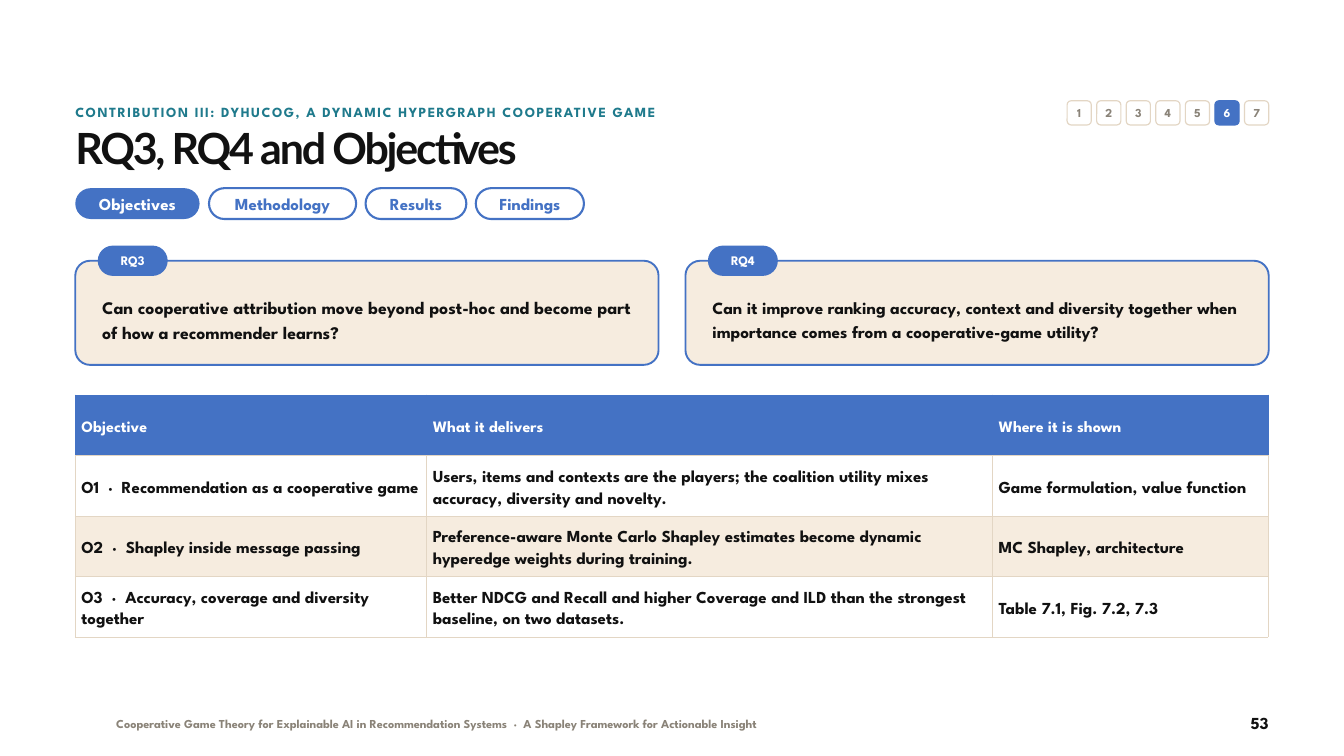
from lxml.etree import SubElement
from pptx import Presentation
from pptx.dml.color import RGBColor
from pptx.enum.shapes import MSO_SHAPE
from pptx.enum.text import MSO_ANCHOR, PP_ALIGN
from pptx.oxml.ns import qn
from pptx.util import Emu, Pt

PX = 9144
BLUE = RGBColor(0x44, 0x72, 0xC4)
TEAL = RGBColor(0x1F, 0x7A, 0x8C)
CREAM = RGBColor(0xF6, 0xEC, 0xDF)
SAND = RGBColor(0xE3, 0xD6, 0xC4)
GREY = RGBColor(0x8A, 0x83, 0x78)
INK = RGBColor(0x11, 0x11, 0x11)
WHITE = RGBColor(0xFF, 0xFF, 0xFF)

LEFT, WIDTH = 112, 1775
ROW_HEIGHT = 90
COLUMN_WIDTHS = (523, 842, 410)
TABS = (("Objectives", 185), ("Methodology", 219), ("Results", 150), ("Findings", 161))
QUESTIONS = (
    ("RQ3", "Can cooperative attribution move beyond post-hoc and become part of how a recommender learns?", 19, 26.6),
    ("RQ4", "Can it improve ranking accuracy, context and diversity together when importance comes from a cooperative-game utility?", 18.4, 25.8),
)
OBJECTIVES = (
    ("Objective", "What it delivers", "Where it is shown"),
    ("O1  ·  Recommendation as a cooperative game",
     "Users, items and contexts are the players; the coalition utility mixes accuracy, diversity and novelty.",
     "Game formulation, value function"),
    ("O2  ·  Shapley inside message passing",
     "Preference-aware Monte Carlo Shapley estimates become dynamic hyperedge weights during training.",
     "MC Shapley, architecture"),
    ("O3  ·  Accuracy, coverage and diversity together",
     "Better NDCG and Recall and higher Coverage and ILD than the strongest baseline, on two datasets.",
     "Table 7.1, Fig. 7.2, 7.3"),
)


def px(*lengths):
    return [Emu(length * PX) for length in lengths]


def write_text(frame, text, size, leading, color=INK, font="League Spartan",
               align=PP_ALIGN.LEFT, anchor=MSO_ANCHOR.TOP, margins=(0, 0), spacing=None):
    frame.word_wrap = True
    frame.vertical_anchor = anchor
    frame.margin_left, frame.margin_top = px(*margins)
    frame.margin_right, frame.margin_bottom = px(*margins)
    paragraph = frame.paragraphs[0]
    paragraph.alignment = align
    paragraph.line_spacing = Pt(leading)
    run = paragraph.add_run()
    run.text = text
    run.font.name = font
    run.font.size = Pt(size)
    run.font.bold = True
    run.font.color.rgb = color
    if spacing is not None:
        run.font._element.set("spc", str(round(spacing * 100)))


def add_text(slide, box, text, size, leading, **text_format):
    text_box = slide.shapes.add_textbox(*px(*box))
    write_text(text_box.text_frame, text, size, leading, **text_format)


def add_rounded(slide, box, radius, fill=None, line=None, line_width=2.25):
    shape = slide.shapes.add_shape(MSO_SHAPE.ROUNDED_RECTANGLE, *px(*box))
    shape.adjustments[0] = radius
    shape.shadow.inherit = False
    if fill is None:
        shape.fill.background()
    else:
        shape.fill.solid()
        shape.fill.fore_color.rgb = fill
    if line is None:
        shape.line.fill.background()
    else:
        shape.line.color.rgb = line
        shape.line.width = Pt(line_width)
    return shape


def add_label(shape, text, size, leading, color, margins=(5, 0)):
    write_text(shape.text_frame, text, size, leading, color=color, margins=margins,
               align=PP_ALIGN.CENTER, anchor=MSO_ANCHOR.MIDDLE)


def add_heading(slide, left, top, width):
    add_text(slide, (left, top, 1415, 36),
             "CONTRIBUTION III: DYHUCOG, A DYNAMIC HYPERGRAPH COOPERATIVE GAME",
             15, 20, color=TEAL, spacing=1.6)
    add_text(slide, (left, top + 36, width, 80), "RQ3, RQ4 and Objectives",
             46, 50.6, font="Lato", spacing=-2.3)


def add_section_tracker(slide, left, top, size, gap, count, current):
    for number in range(1, count + 1):
        active = number == current
        box = (left + (number - 1) * (size + gap), top, size, size)
        square = add_rounded(slide, box, 0.167, BLUE if active else WHITE,
                             BLUE if active else SAND, 1.25)
        add_label(square, str(number), 13, 15, WHITE if active else GREY, margins=(0, 0))


def add_tabs(slide, left, top, height, gap, current):
    for name, width in TABS:
        active = name == current
        tab = add_rounded(slide, (left, top, width, height), 0.5,
                          BLUE if active else None, None if active else BLUE)
        add_label(tab, name, 18, 21.6, WHITE if active else BLUE)
        left += width + gap


def add_question_card(slide, box, name, question, size, leading):
    left, top, width, height = box
    add_rounded(slide, box, 0.142, CREAM, BLUE, 2)
    badge = add_rounded(slide, (left + 35, top - 21, 101, 42), 0.5, BLUE, BLUE)
    add_label(badge, name, 14, 16.8, WHITE)
    add_text(slide, (left + 40, top + 30, width - 80, height - 45), question,
             size, leading, anchor=MSO_ANCHOR.MIDDLE)


def set_cell_borders(cell, color):
    properties = cell._tc.get_or_add_tcPr()
    for position, side in enumerate(("lnL", "lnR", "lnT", "lnB")):
        border = SubElement(properties, qn(f"a:{side}"), w=str(Pt(1)))
        fill = SubElement(border, qn("a:solidFill"))
        SubElement(fill, qn("a:srgbClr"), val=str(color))
        properties.insert(position, border)


def add_objectives_table(slide, left, top):
    box = (left, top, sum(COLUMN_WIDTHS), ROW_HEIGHT * len(OBJECTIVES))
    table = slide.shapes.add_table(len(OBJECTIVES), len(COLUMN_WIDTHS), *px(*box)).table
    for column, width in zip(table.columns, px(*COLUMN_WIDTHS)):
        column.width = width
    for row_index, texts in enumerate(OBJECTIVES):
        header = row_index == 0
        fill = BLUE if header else (CREAM if row_index == 2 else WHITE)
        for column_index, text in enumerate(texts):
            cell = table.cell(row_index, column_index)
            cell.fill.solid()
            cell.fill.fore_color.rgb = fill
            write_text(cell.text_frame, text, 17 if header else 18,
                       22.1 if header else 23.4, color=WHITE if header else INK)
            cell.vertical_anchor = MSO_ANCHOR.MIDDLE
            cell.margin_left, cell.margin_right = px(9, 9)
            cell.margin_top, cell.margin_bottom = px(5, 5)
            set_cell_borders(cell, BLUE if header else SAND)


def add_footer(slide, left, top, right):
    add_text(slide, (left, top + 6, 1400, 30),
             "Cooperative Game Theory for Explainable AI in Recommendation Systems"
             "  ·  A Shapley Framework for Actionable Insight",
             13, 16, color=GREY)
    add_text(slide, (right - 120, top, 120, 36), "53", 18, 22, align=PP_ALIGN.RIGHT)


def main():
    presentation = Presentation()
    presentation.slide_width, presentation.slide_height = px(2000, 1125)
    slide = presentation.slides.add_slide(presentation.slide_layouts[6])
    add_footer(slide, 173, 1060, 1888)
    add_heading(slide, LEFT, 152, WIDTH)
    add_section_tracker(slide, 1588, 150, size=36, gap=8, count=7, current=6)
    add_tabs(slide, LEFT, 280, height=46, gap=14, current="Objectives")
    card_width, card_gap = 868, 40
    for index, question in enumerate(QUESTIONS):
        card_left = LEFT + index * (card_width + card_gap)
        add_question_card(slide, (card_left, 388, card_width, 155), *question)
    add_objectives_table(slide, LEFT, 588)
    presentation.save("out.pptx")


if __name__ == "__main__":
    main()
